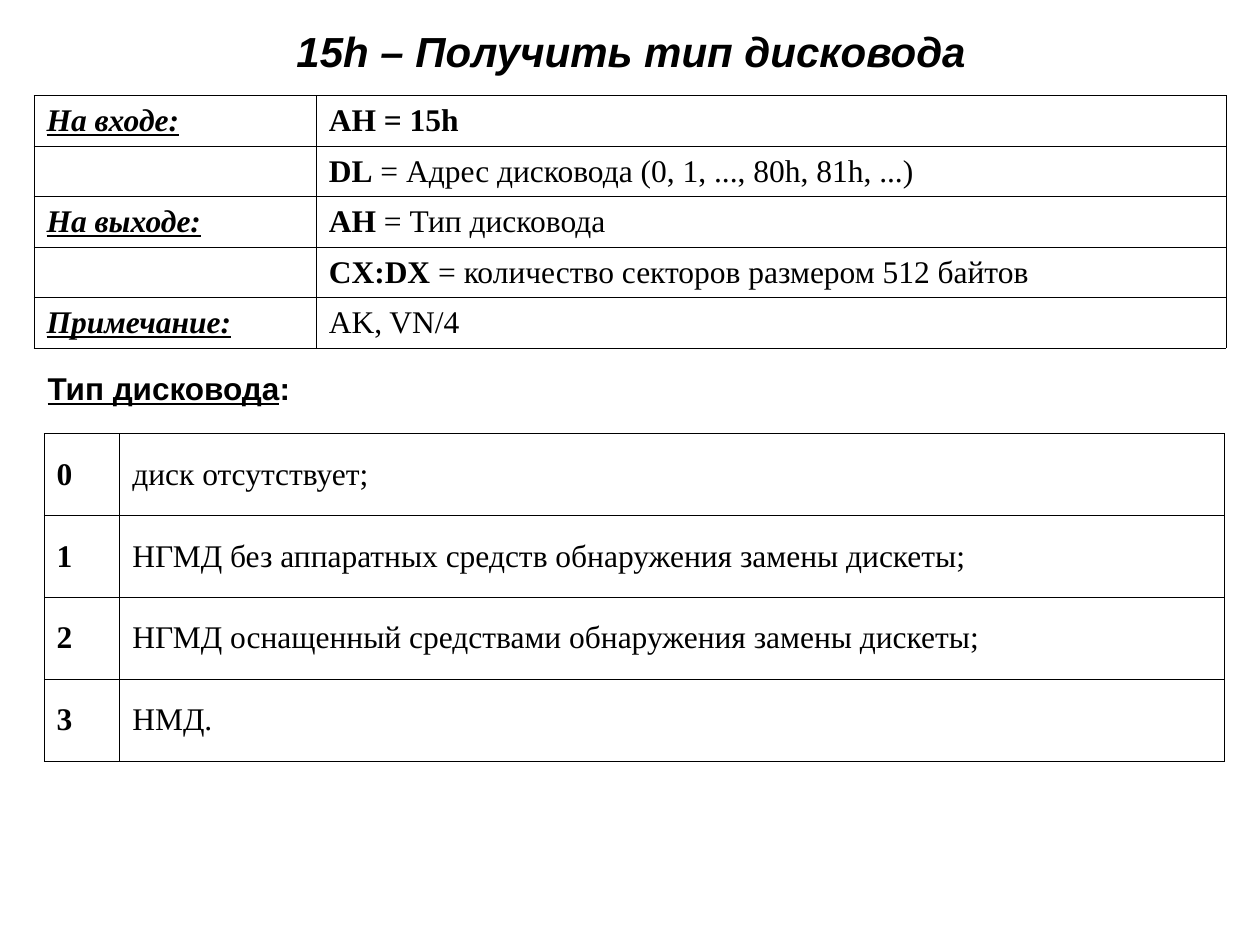
from dataclasses import dataclass

from lxml import etree
from pptx import Presentation
from pptx.dml.color import RGBColor
from pptx.enum.text import MSO_ANCHOR, PP_ALIGN
from pptx.oxml.ns import qn
from pptx.util import Inches, Pt

MIDDLE, TOP = MSO_ANCHOR.MIDDLE, MSO_ANCHOR.TOP
CENTER, LEFT = PP_ALIGN.CENTER, PP_ALIGN.LEFT
COLORS = {"ink": "000000", "paper": "FFFFFF"}
SANS, SERIF = "Arial", "Times New Roman"
PLAIN = {"name": SERIF, "size": Pt(18), "bold": False}
BOLD = PLAIN | {"bold": True}
LABEL = BOLD | {"italic": True, "underline": True}
TITLE = {"name": SANS, "size": Pt(24), "bold": True, "italic": True}
HEAD = {"name": SANS, "size": Pt(18), "bold": True}


@dataclass
class Span:
    text: str
    form: dict


@dataclass
class Label:
    box: tuple[float, float, float, float]
    spans: list[Span]
    align: PP_ALIGN = LEFT
    anchor: MSO_ANCHOR = TOP
    wrap: bool = True


@dataclass
class Grid:
    left: float
    top: float
    cols: list[float]
    height: float
    rows: list[list[list[Span]]]


def pair(name: str, text: str) -> list[Span]:
    return [Span(name, BOLD), Span(text, PLAIN)]


def write(para, spans: list[Span]) -> None:
    for span in spans:
        run = para.add_run()
        run.text = span.text
        run.font.color.rgb = RGBColor.from_string(COLORS["ink"])
        for key, value in span.form.items():
            setattr(run.font, key, value)


def draw_label(slide, label: Label) -> None:
    frame = slide.shapes.add_textbox(*map(Inches, label.box)).text_frame
    frame.word_wrap = label.wrap
    frame.vertical_anchor = label.anchor
    para = frame.paragraphs[0]
    para.alignment = label.align
    write(para, label.spans)


def add_border(cell) -> None:
    props = cell._tc.get_or_add_tcPr()
    for spot, side in enumerate(("lnL", "lnR", "lnT", "lnB")):
        line = etree.Element(qn(f"a:{side}"), w=str(Pt(0.45)))
        fill = etree.SubElement(line, qn("a:solidFill"))
        etree.SubElement(fill, qn("a:srgbClr"), val=COLORS["ink"])
        props.insert(spot, line)


def draw_grid(slide, grid: Grid) -> None:
    count = len(grid.rows)
    table = slide.shapes.add_table(
        count, len(grid.cols), Inches(grid.left), Inches(grid.top),
        Inches(sum(grid.cols)), Inches(grid.height * count)).table
    table.first_row = table.horz_banding = False
    for col, width in zip(table.columns, grid.cols):
        col.width = Inches(width)
    for row, texts in zip(table.rows, grid.rows):
        row.height = Inches(grid.height)
        for cell, spans in zip(row.cells, texts):
            cell.vertical_anchor = MIDDLE
            cell.fill.solid()
            cell.fill.fore_color.rgb = RGBColor.from_string(COLORS["paper"])
            add_border(cell)
            write(cell.text_frame.paragraphs[0], spans)


LABELS = [
    Label((0.51, 0.13, 9, 0.54),
          [Span("15h – Получить тип дисковода", TITLE)], CENTER, MIDDLE),
    Label((0.28, 2.88, 2.14, 0.4),
          [Span("Тип дисковода", HEAD | {"underline": True}),
           Span(":", HEAD)], wrap=False),
]

# Registers on entry and exit
CALL = Grid(0.27, 0.76, [2.24, 7.22], 0.4, [
    [[Span("На входе:", LABEL)], [Span("AH = 15h", BOLD)]],
    [[], pair("DL", " = Адрес дисковода (0, 1, ..., 80h, 81h, ...)")],
    [[Span("На выходе:", LABEL)], pair("AH", " = Тип дисковода")],
    [[], pair("CX:DX", " = количество секторов размером 512 байтов")],
    [[Span("Примечание:", LABEL)], [Span("AK, VN/4", PLAIN)]],
])

# Drive type codes, numbered from zero
TYPES = [
    "диск отсутствует;",
    "НГМД без аппаратных средств обнаружения замены дискеты;",
    "НГМД оснащенный средствами обнаружения замены дискеты;",
    "НМД.",
]
CODES = Grid(0.35, 3.44, [0.6, 8.77], 0.65, [
    [[Span(str(code), BOLD)], [Span(text, PLAIN)]]
    for code, text in enumerate(TYPES)
])


def main() -> None:
    deck = Presentation()
    deck.slide_width, deck.slide_height = Inches(10), Inches(7.5)
    slide = deck.slides.add_slide(deck.slide_layouts[6])
    for label in LABELS:
        draw_label(slide, label)
    for grid in (CALL, CODES):
        draw_grid(slide, grid)
    deck.save("out.pptx")


if __name__ == "__main__":
    main()
